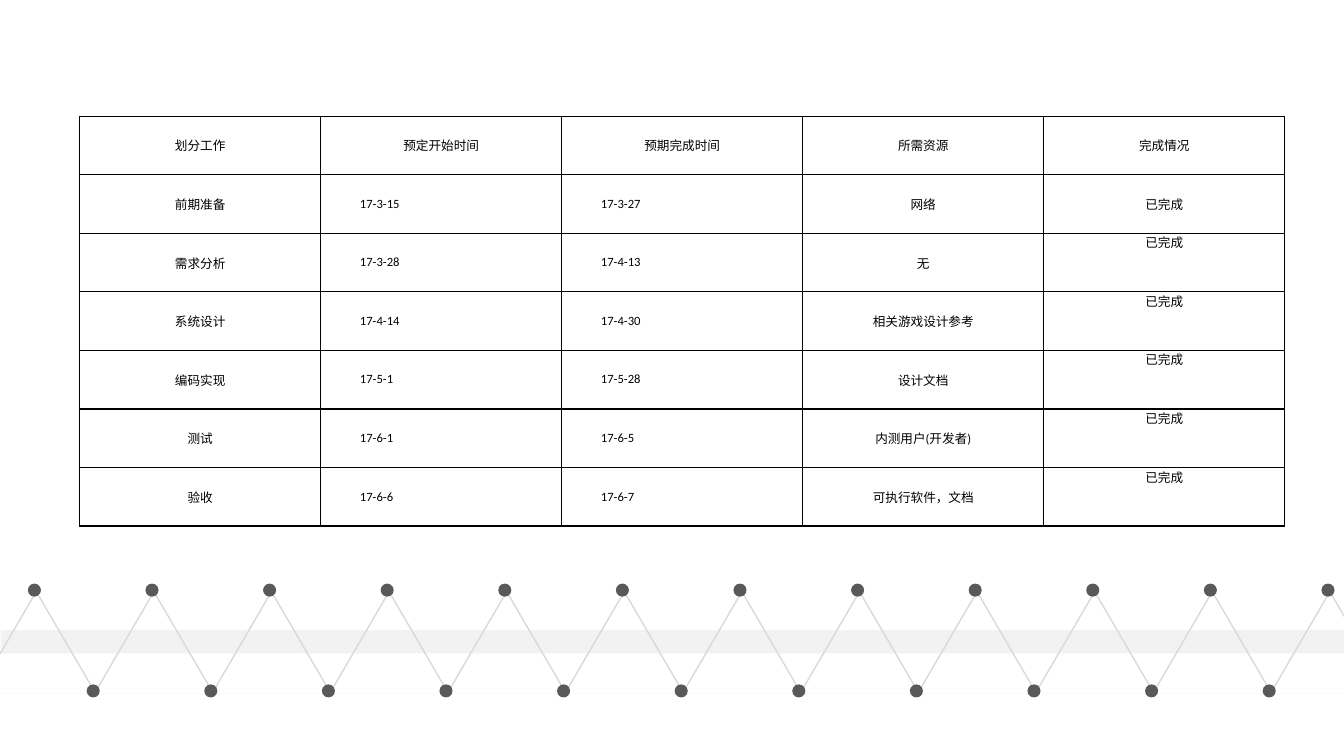
from pptx import Presentation
from pptx.dml.color import RGBColor
from pptx.enum.shapes import MSO_CONNECTOR as Connector, MSO_SHAPE as Shape
from pptx.enum.text import MSO_ANCHOR as Anchor, PP_ALIGN as Align
from pptx.oxml import parse_xml
from pptx.oxml.ns import nsdecls
from pptx.util import Inches, Pt

COLUMNS, ROWS = 80, 45  # grid of the slide, one unit is a sixth of an inch
UNIT = Inches(13.333) / COLUMNS


def color(value):
    return RGBColor.from_string(value)


def grid(*units):
    return [round(unit * UNIT) for unit in units]


def apply(target, values):
    for name, value in values.items():
        setattr(target, name, value)


class SlideBuilder:
    TEXT = {"name": "Calibri", "size": Pt(9)}
    CELL = {"margin_left": Inches(0.06), "margin_right": Inches(0.06),
            "margin_top": 0, "margin_bottom": 0}
    INK = "000000"
    FIRST_LINE = Inches(0.33)

    def __init__(self, slide):
        self.slide = slide

    def shape(self, kind, left, top, width, height, fill=None, line=None):
        shape = self.slide.shapes.add_shape(kind, *grid(left, top, width, height))
        shape.shadow.inherit = False
        if fill:
            shape.fill.solid()
            shape.fill.fore_color.rgb = color(fill)
        else:
            shape.fill.background()
        if line:
            shape.line.color.rgb = color(line)
            shape.line.width = Pt(1)
        else:
            shape.line.fill.background()

    def dot(self, center, middle, size, fill):
        self.shape(Shape.OVAL, center - size / 2, middle - size / 2, size, size, fill)

    def line(self, start, end, row, line, points):
        connector = self.slide.shapes.add_connector(
            Connector.STRAIGHT, *grid(start, row, end, row))
        connector.line.color.rgb = color(line)
        connector.line.width = Pt(points)
        connector._element.spPr.append(parse_xml(f"<a:effectLst {nsdecls('a')}/>"))

    def borders(self, cell):
        properties = cell._tc.get_or_add_tcPr()
        for side in "LRTB":
            properties.append(parse_xml(
                f'<a:ln{side} {nsdecls("a")} w="{Pt(1)}"><a:solidFill>'
                f'<a:srgbClr val="{self.INK}"/></a:solidFill></a:ln{side}>'))

    def cell(self, cell, text, anchor, indented):
        self.borders(cell)
        cell.fill.background()
        apply(cell, {**self.CELL, "vertical_anchor": anchor})
        paragraph = cell.text_frame.paragraphs[0]
        if indented:
            properties = paragraph._p.get_or_add_pPr()
            properties.set("marL", "0")
            properties.set("indent", str(self.FIRST_LINE))
        else:
            paragraph.alignment = Align.CENTER
        run = paragraph.add_run()
        run.text = text
        apply(run.font, self.TEXT)
        run.font.color.rgb = color(self.INK)

    def table(self, left, top, width, height, records):
        table = self.slide.shapes.add_table(
            len(records), len(records[0]), *grid(left, top, width, height)).table
        apply(table, {"first_row": False, "horz_banding": False})
        last = len(records[0]) - 1
        for row, record in enumerate(records):
            for column, text in enumerate(record):
                anchor = Anchor.TOP if row > 1 and column == last else Anchor.MIDDLE
                self.cell(table.cell(row, column), text, anchor,
                          indented=row > 0 and column in (1, 2))


SCHEDULE = [
    ("划分工作", "预定开始时间", "预期完成时间", "所需资源", "完成情况"),
    ("前期准备", "17-3-15", "17-3-27", "网络", "已完成"),
    ("需求分析", "17-3-28", "17-4-13", "无", "已完成"),
    ("系统设计", "17-4-14", "17-4-30", "相关游戏设计参考", "已完成"),
    ("编码实现", "17-5-1", "17-5-28", "设计文档", "已完成"),
    ("测试", "17-6-1", "17-6-5", "内测用户(开发者)", "已完成"),
    ("验收", "17-6-6", "17-6-7", "可执行软件，文档", "已完成"),
]
PERIOD, WAVE_HEIGHT, PEAKS = 7, 6, 12
WAVE_LEFT, WAVE_TOP = -1.34, 35.22
FIRST_DOT, DOT_ROW, DOT_SIZE = 2.05, 35.13, 0.78


def main():
    presentation = Presentation()
    presentation.slide_width, presentation.slide_height = grid(COLUMNS, ROWS)
    builder = SlideBuilder(presentation.slides.add_slide(presentation.slide_layouts[6]))

    # Band and zigzag: triangles whose bases are hidden by a white line
    builder.shape(Shape.RECTANGLE, 0.06, 37.5, COLUMNS, 1.4, fill="F2F2F2")
    for peak in range(PEAKS):
        builder.shape(Shape.ISOSCELES_TRIANGLE, WAVE_LEFT + peak * PERIOD, WAVE_TOP,
                      PERIOD, WAVE_HEIGHT, line="D9D9D9")
    builder.line(WAVE_LEFT, WAVE_LEFT + PEAKS * PERIOD, 41.13, "FFFFFF", 3)

    # Dots alternate between peaks and valleys
    for index in range(2 * PEAKS - 1):
        builder.dot(FIRST_DOT + index * PERIOD / 2,
                    DOT_ROW + index % 2 * WAVE_HEIGHT, DOT_SIZE, "595959")

    # Schedule
    builder.table(4.74, 6.92, 71.74, 24.4, SCHEDULE)
    presentation.save("out.pptx")


if __name__ == "__main__":
    main()
